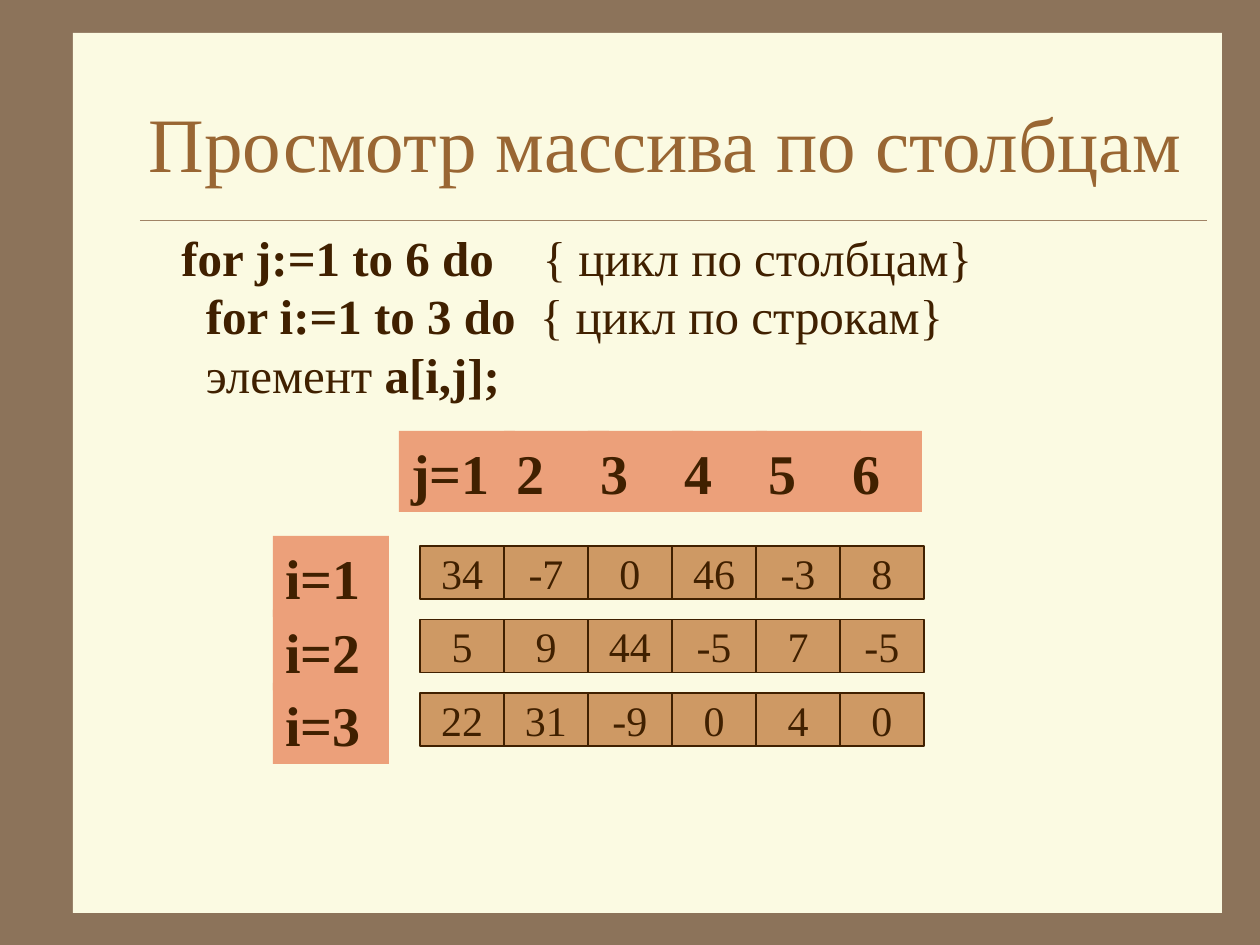
from dataclasses import dataclass

from pptx import Presentation
from pptx.dml.color import RGBColor
from pptx.enum.shapes import MSO_CONNECTOR, MSO_SHAPE
from pptx.enum.text import MSO_ANCHOR, MSO_AUTO_SIZE, PP_ALIGN
from pptx.oxml.ns import qn
from pptx.util import Pt

# Content
TITLE = "Просмотр массива по столбцам"
CODE = [  # lines of (text, bold) runs
    [("for j:=1 to 6 do", True), ("    { цикл по столбцам}", False)],
    [("  ", False), ("for i:=1 to 3 do", True), ("  { цикл по строкам}", False)],
    [("  элемент", False), (" a[i,j];", True)],
]
ROWS = ["i=1", "i=2", "i=3"]
COLS = [("j=1", 116), ("2", 105), ("3", 105), ("4", 95), ("5", 105), ("6", 82)]
GRID = [
    [34, -7, 0, 46, -3, 8],
    [5, 9, 44, -5, 7, -5],
    [22, 31, -9, 0, 4, 0],
]


@dataclass(frozen=True)
class Theme:
    font: str = "Times New Roman"
    frame: str = "8C735A"
    panel: str = "FBFAE2"
    rule: str = "A08366"
    title: str = "996633"
    ink: str = "402000"
    cell: str = "CE9964"
    label: str = "ECA07A"
    title_size: int = 44
    code_size: int = 28
    label_size: int = 32
    cell_size: int = 24


T = Theme()

# Layout in px
LEFT, TOP = 420, 546
CELL_W, CELL_H = 84, 53
PITCH = 73.5
LABEL_W, LABEL_H = 116, 81


def px(n):
    return round(n * 914400 / 126)


def rgb(code):
    return RGBColor.from_string(code)


def style(par, size, color, bold=False):
    font = par.font
    font.name, font.size, font.bold = T.font, Pt(size), bold
    font.color.rgb = rgb(color)


def add_rect(slide, x, y, w, h, fill, line=None):
    box = slide.shapes.add_shape(MSO_SHAPE.RECTANGLE, px(x), px(y), px(w), px(h))
    box.shadow.inherit = False
    box.fill.solid()
    box.fill.fore_color.rgb = rgb(fill)
    if line:
        box.line.color.rgb = rgb(line)
        box.line.width = Pt(0.75)
    else:
        box.line.fill.background()
    return box


def write(box, text, size, anchor, align, bold=False):
    frame = box.text_frame
    frame.vertical_anchor = anchor
    par = frame.paragraphs[0]
    par.text = text
    par.alignment = align
    style(par, size, T.ink, bold)


def add_label(slide, text, x, y, w):
    box = add_rect(slide, x, y, w, LABEL_H, T.label)
    write(box, text, T.label_size, MSO_ANCHOR.BOTTOM, PP_ALIGN.LEFT, True)


def add_cell(slide, value, x, y):
    box = add_rect(slide, x, y, CELL_W, CELL_H, T.cell, T.ink)
    write(box, str(value), T.cell_size, MSO_ANCHOR.MIDDLE, PP_ALIGN.CENTER)
    box.text_frame.word_wrap = False


def add_back(slide):
    back = slide.background.fill
    back.solid()
    back.fore_color.rgb = rgb(T.frame)
    add_rect(slide, 73, 33, 1149, 880, T.panel)
    rule = slide.shapes.add_connector(
        MSO_CONNECTOR.STRAIGHT, px(140), px(220), px(1207), px(220))
    rule.line.color.rgb = rgb(T.rule)
    rule.line.width = Pt(0.25)
    props = rule._element.spPr
    props.append(props.makeelement(qn("a:effectLst"), {}))


def add_title(slide):
    title = slide.shapes.title
    slide.shapes._spTree.append(title._element)  # in front of the panel
    title.left, title.top = px(136), px(63)
    title.width, title.height = px(1071), px(158)
    frame = title.text_frame
    frame.text = TITLE
    frame.auto_size = MSO_AUTO_SIZE.NONE
    frame.vertical_anchor = MSO_ANCHOR.MIDDLE
    frame.paragraphs[0].alignment = PP_ALIGN.LEFT
    style(frame.paragraphs[0], T.title_size, T.title)


def add_code(slide):
    box = slide.shapes.add_textbox(px(169), px(221), px(1013), px(189))
    frame = box.text_frame
    frame.word_wrap = True
    for n, line in enumerate(CODE):
        par = frame.add_paragraph() if n else frame.paragraphs[0]
        style(par, T.code_size, T.ink)
        for text, bold in line:
            run = par.add_run()
            run.text = text
            run.font.bold = bold


def add_array(slide):
    for c, (text, width) in enumerate(COLS):
        x = LEFT + c * CELL_W if c else LEFT - 21
        add_label(slide, text, x, 431, width)
    for r, (text, values) in enumerate(zip(ROWS, GRID)):
        y = TOP + r * PITCH
        add_label(slide, text, 273, y - 10, LABEL_W)
        for c, value in enumerate(values):
            add_cell(slide, value, LEFT + c * CELL_W, y)


def main():
    deck = Presentation()
    deck.slide_width, deck.slide_height = px(1260), px(945)
    slide = deck.slides.add_slide(deck.slide_layouts[5])
    add_back(slide)
    add_title(slide)
    add_code(slide)
    add_array(slide)
    deck.save("out.pptx")


if __name__ == "__main__":
    main()
